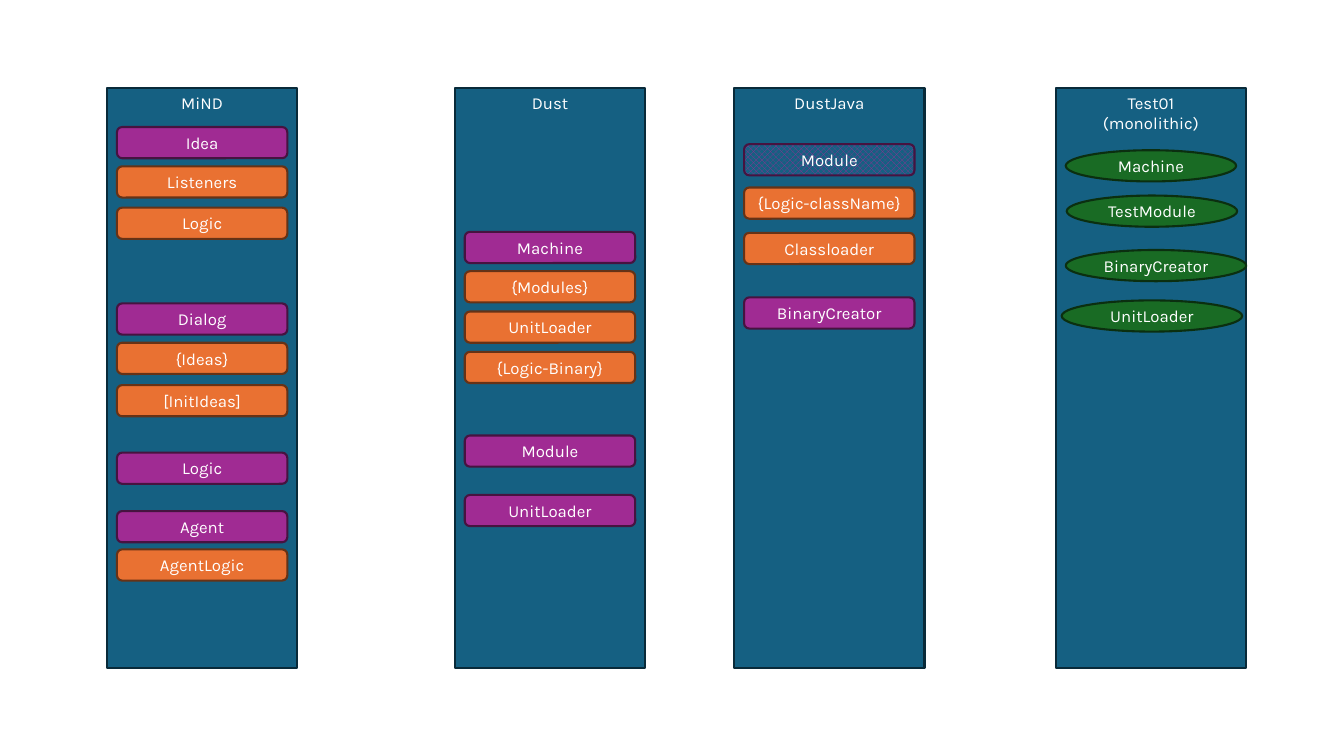
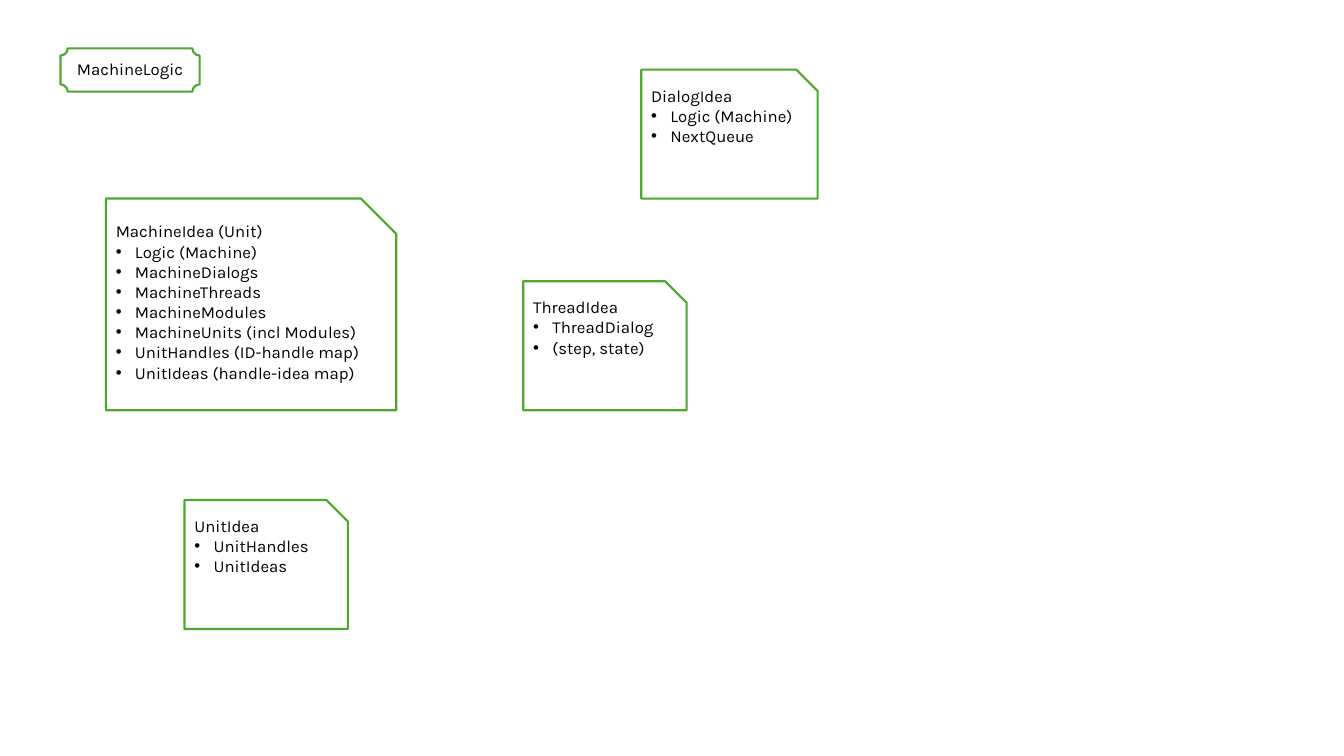
from lxml.etree import SubElement
from pptx import Presentation
from pptx.dml.color import RGBColor
from pptx.enum.dml import MSO_PATTERN
from pptx.enum.shapes import MSO_SHAPE
from pptx.enum.text import MSO_ANCHOR, PP_ALIGN
from pptx.oxml.ns import qn
from pptx.util import Emu, Pt

FONT = "Karla"
WHITE, BLACK = "FFFFFF", "000000"
BLUE, BLUE_EDGE = "156082", "092A39"
PURPLE, GREEN_EDGE = "A02B93", "4EA72E"
INDENT = 19
NODE_X, NODE_W, NODE_H = 10, 169, 31
COLUMN_Y, COLUMN_W, COLUMN_H = 87, 189, 576

NODE_STYLES = {
    "type": (MSO_SHAPE.ROUNDED_RECTANGLE, PURPLE, "461340"),
    "hatched": (MSO_SHAPE.ROUNDED_RECTANGLE, PURPLE, "461340"),
    "member": (MSO_SHAPE.ROUNDED_RECTANGLE, "E97132", "663216"),
    "instance": (MSO_SHAPE.OVAL, "196B24", "0B2F10"),
}

COLUMNS = [
    (106, ["MiND"], [
        ("type", "Idea", 39),
        ("member", "Listeners", 78),
        ("member", "Logic", 119),
        ("type", "Dialog", 214),
        ("member", "{Ideas}", 253),
        ("member", "[InitIdeas]", 295),
        ("type", "Logic", 362),
        ("type", "Agent", 420),
        ("member", "AgentLogic", 458),
    ]),
    (451, ["Dust"], [
        ("type", "Machine", 143),
        ("member", "{Modules}", 182),
        ("member", "UnitLoader", 222),
        ("member", "{Logic-Binary}", 262),
        ("type", "Module", 345),
        ("type", "UnitLoader", 404),
    ]),
    (728, ["DustJava"], [
        ("hatched", "Module", 56),
        ("member", "{Logic-className}", 99),
        ("member", "Classloader", 144),
        ("type", "BinaryCreator", 208),
    ]),
    (1047, ["Test01", "(monolithic)"], [
        ("instance", "Machine", 62),
        ("instance", "TestModule", 107, 11),
        ("instance", "BinaryCreator", 161, 10, 179),
        ("instance", "UnitLoader", 211, 6, 179),
    ]),
]

CARDS = [
    ((105, 197, 288, 210), "MachineIdea (Unit)", [
        "Logic (Machine)",
        "MachineDialogs",
        "MachineThreads",
        "MachineModules",
        "MachineUnits (incl Modules)",
        "UnitHandles (ID-handle map)",
        "UnitIdeas (handle-idea map)",
    ]),
    ((519, 279, 162, 128), "ThreadIdea", ["ThreadDialog", "(step, state)"]),
    ((636, 69, 175, 128), "DialogIdea", ["Logic (Machine)", "NextQueue"]),
    ((183, 496, 162, 128), "UnitIdea", ["UnitHandles", "UnitIdeas"]),
]


def px(n):
    """Turn px, 100 to the inch, into EMU."""
    return Emu(n * 9144)


def rgb(color):
    """Turn a hex string into a colour."""
    return RGBColor.from_string(color)


def add_bullet(p):
    """Give a paragraph a hanging round bullet."""
    pPr = p._p.get_or_add_pPr()
    pPr.set("marL", str(px(INDENT)))
    pPr.set("indent", str(-px(INDENT)))
    SubElement(pPr, qn("a:buFont"), typeface="Arial")
    SubElement(pPr, qn("a:buChar"), char="•")


def write(sp, lines, items=(), color=WHITE, align=PP_ALIGN.CENTER, anchor=MSO_ANCHOR.TOP):
    """Fill a shape with plain lines followed by bulleted items."""
    tf = sp.text_frame
    tf.word_wrap = True
    tf.vertical_anchor = anchor
    for i, text in enumerate([*lines, *items]):
        p = tf.paragraphs[0] if i == 0 else tf.add_paragraph()
        p.alignment = align
        if i >= len(lines):
            add_bullet(p)
        r = p.add_run()
        r.text = text
        r.font.name = FONT
        r.font.size = Pt(12)
        r.font.color.rgb = rgb(color)


def add_box(s, kind, box, fill, edge):
    """Add a filled and outlined preset shape."""
    sp = s.shapes.add_shape(kind, *map(px, box))
    sp.shadow.inherit = False
    sp.fill.solid()
    sp.fill.fore_color.rgb = rgb(fill)
    sp.line.color.rgb = rgb(edge)
    sp.line.width = Pt(1.5)
    return sp


def add_node(s, left, top, style, text, dy, dx=NODE_X, w=NODE_W):
    """Add one labelled node inside the column at left, top."""
    sp = add_box(s, NODE_STYLES[style][0], (left + dx, top + dy, w, NODE_H), *NODE_STYLES[style][1:])
    if style == "hatched":
        sp.fill.patterned()
        sp.fill.pattern = MSO_PATTERN.LARGE_CHECKER_BOARD
        sp.fill.fore_color.rgb = rgb(PURPLE)
        sp.fill.back_color.rgb = rgb(BLUE)
    write(sp, [text], anchor=MSO_ANCHOR.MIDDLE)


def add_column(s, left, heading, nodes):
    """Add a layer column with its heading and nodes."""
    sp = add_box(s, MSO_SHAPE.RECTANGLE, (left, COLUMN_Y, COLUMN_W, COLUMN_H), BLUE, BLUE_EDGE)
    write(sp, heading)
    for node in nodes:
        add_node(s, left, COLUMN_Y, *node)


def add_card(s, box, heading, items):
    """Add a snipped card with a heading and its members."""
    sp = add_box(s, MSO_SHAPE.SNIP_1_RECTANGLE, box, WHITE, GREEN_EDGE)
    write(sp, [heading], items, color=BLACK, align=PP_ALIGN.LEFT)


def layers_slide(prs):
    """Build the slide of layer columns."""
    s = prs.slides.add_slide(prs.slide_layouts[6])
    for column in COLUMNS:
        add_column(s, *column)


def ideas_slide(prs):
    """Build the slide of idea cards."""
    s = prs.slides.add_slide(prs.slide_layouts[6])
    plaque = add_box(s, MSO_SHAPE.PLAQUE, (60, 48, 138, 43), WHITE, GREEN_EDGE)
    write(plaque, ["MachineLogic"], color=BLACK)
    for card in CARDS:
        add_card(s, *card)


def main():
    """Build and save the presentation."""
    prs = Presentation()
    prs.slide_width, prs.slide_height = px(1333), px(750)
    layers_slide(prs)
    ideas_slide(prs)
    prs.save("out.pptx")


if __name__ == "__main__":
    main()
